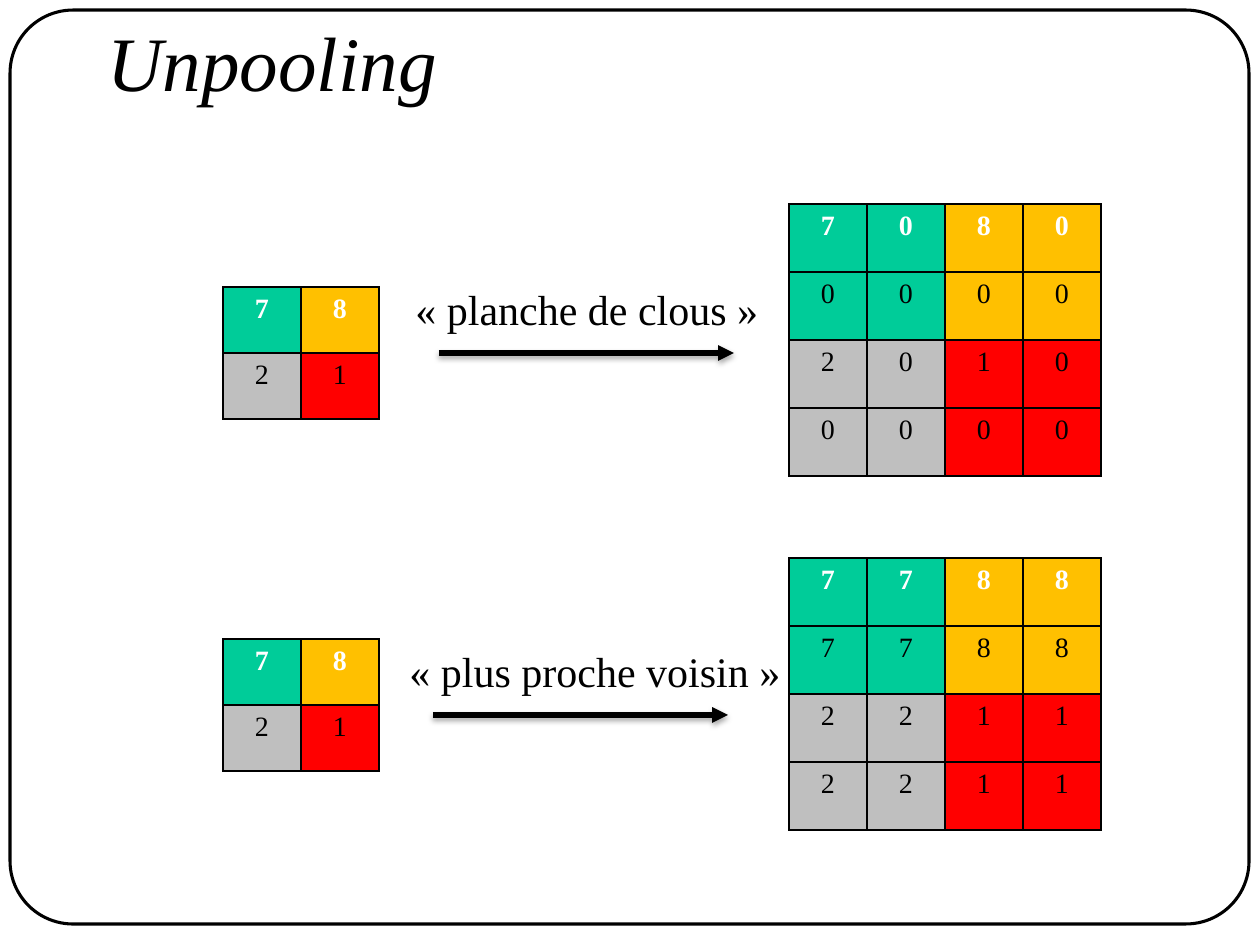
from lxml import etree
from pptx import Presentation
from pptx.dml.color import RGBColor
from pptx.enum.shapes import MSO_CONNECTOR, MSO_SHAPE
from pptx.enum.text import MSO_ANCHOR, PP_ALIGN
from pptx.oxml import parse_xml
from pptx.util import Pt

PX = 914400 / 126
NS = 'xmlns:a="http://schemas.openxmlformats.org/drawingml/2006/main"'
BLACK, WHITE = "000000", "FFFFFF"
# Fill of each quadrant: top left, top right, bottom left, bottom right
QUADRANTS = [["00CC99", "FFC000"], ["BFBFBF", "FF0000"]]
POOLED = ["78", "21"]


def px(*values):
    return [round(v * PX) for v in values]


def color(hex_text):
    return RGBColor.from_string(hex_text)


def write(p, text, size, hex_color=BLACK, **style):
    r = p.add_run()
    r.text = text
    fmt = {"name": "Times New Roman", "size": Pt(size), **style}
    for key, value in fmt.items():
        setattr(r.font, key, value)
    r.font.color.rgb = color(hex_color)


def add_text(s, box, text, size, wrap=False, anchor=MSO_ANCHOR.TOP, **style):
    tf = s.shapes.add_textbox(*px(*box)).text_frame
    for key, value in {"word_wrap": wrap, "vertical_anchor": anchor}.items():
        setattr(tf, key, value)
    write(tf.paragraphs[0], text, size, **style)


def add_border(cell):
    # Borders come before the fill in the cell properties
    tc_pr = cell._tc.get_or_add_tcPr()
    for i, side in enumerate(("lnL", "lnR", "lnT", "lnB")):
        tc_pr.insert(i, parse_xml(
            f'<a:{side} {NS} w="12700"><a:solidFill><a:srgbClr val="{BLACK}"/>'
            f'</a:solidFill></a:{side}>'))


def add_matrix(s, left, top, cell_w, cell_h, rows):
    n = len(rows)
    table = s.shapes.add_table(n, n, *px(left, top, n * cell_w, n * cell_h)).table
    for i, row in enumerate(rows):
        table.rows[i].height = px(cell_h)[0]
        table.columns[i].width = px(cell_w)[0]
        for j, digit in enumerate(row):
            cell = table.cell(i, j)
            cell.fill.solid()
            cell.fill.fore_color.rgb = color(QUADRANTS[2 * i // n][2 * j // n])
            add_border(cell)
            p = cell.text_frame.paragraphs[0]
            p.alignment = PP_ALIGN.CENTER
            write(p, digit, 16, WHITE if i == 0 else BLACK, bold=i == 0)


def add_arrow(s, left, top, width):
    x1, y, x2 = px(left, top, left + width)
    line = s.shapes.add_connector(MSO_CONNECTOR.STRAIGHT, x1, y, x2, y)
    line.line.width = Pt(3)
    line.line.color.rgb = color(BLACK)
    ln = line.line._get_or_add_ln()
    ln.append(parse_xml(f'<a:tailEnd {NS} type="triangle"/>'))
    # Soft shadow below the line
    line._element.spPr.append(parse_xml(
        f'<a:effectLst {NS}><a:outerShdw blurRad="40000" dist="23000" '
        f'dir="5400000" rotWithShape="0"><a:srgbClr val="{BLACK}">'
        f'<a:alpha val="35000"/></a:srgbClr></a:outerShdw></a:effectLst>'))


def add_frame(s, box):
    sp = s.shapes.add_shape(MSO_SHAPE.ROUNDED_RECTANGLE, *px(*box))
    sp.adjustments[0] = 0.069
    sp.shadow.inherit = False
    sp.fill.background()
    sp.line.color.rgb = color(BLACK)
    sp.line.width = Pt(1.75)


def add_unpooling(s, left, top, label, label_at, label_w, pooled_dy, unpooled):
    """One method: pooled matrix, labelled arrow, unpooled matrix."""
    add_matrix(s, left, top + pooled_dy, 78, 66, POOLED)
    add_matrix(s, left + 566, top, 78, 68, unpooled)
    x, y = left + label_at[0], top + label_at[1]
    add_arrow(s, x + 36, y + 76, 295)
    add_text(s, (x, y, label_w, 63), label, 24)


def main():
    prs = Presentation()
    prs.slide_width, prs.slide_height = px(1260, 945)
    s = prs.slides.add_slide(prs.slide_layouts[6])

    # Frame and title
    add_frame(s, (10, 10, 1239, 914))
    add_text(s, (95, -18, 1071, 158), "Unpooling", 44, wrap=True,
             anchor=MSO_ANCHOR.MIDDLE, italic=True)

    # Bed of nails, then nearest neighbour
    add_unpooling(s, 223, 204, "« planche de clous »", (180, 73), 372, 83,
                  ["7080", "0000", "2010", "0000"])
    add_unpooling(s, 223, 558, "« plus proche voisin »", (174, 81), 399, 81,
                  ["7788", "7788", "2211", "2211"])

    prs.save("out.pptx")


if __name__ == "__main__":
    main()
